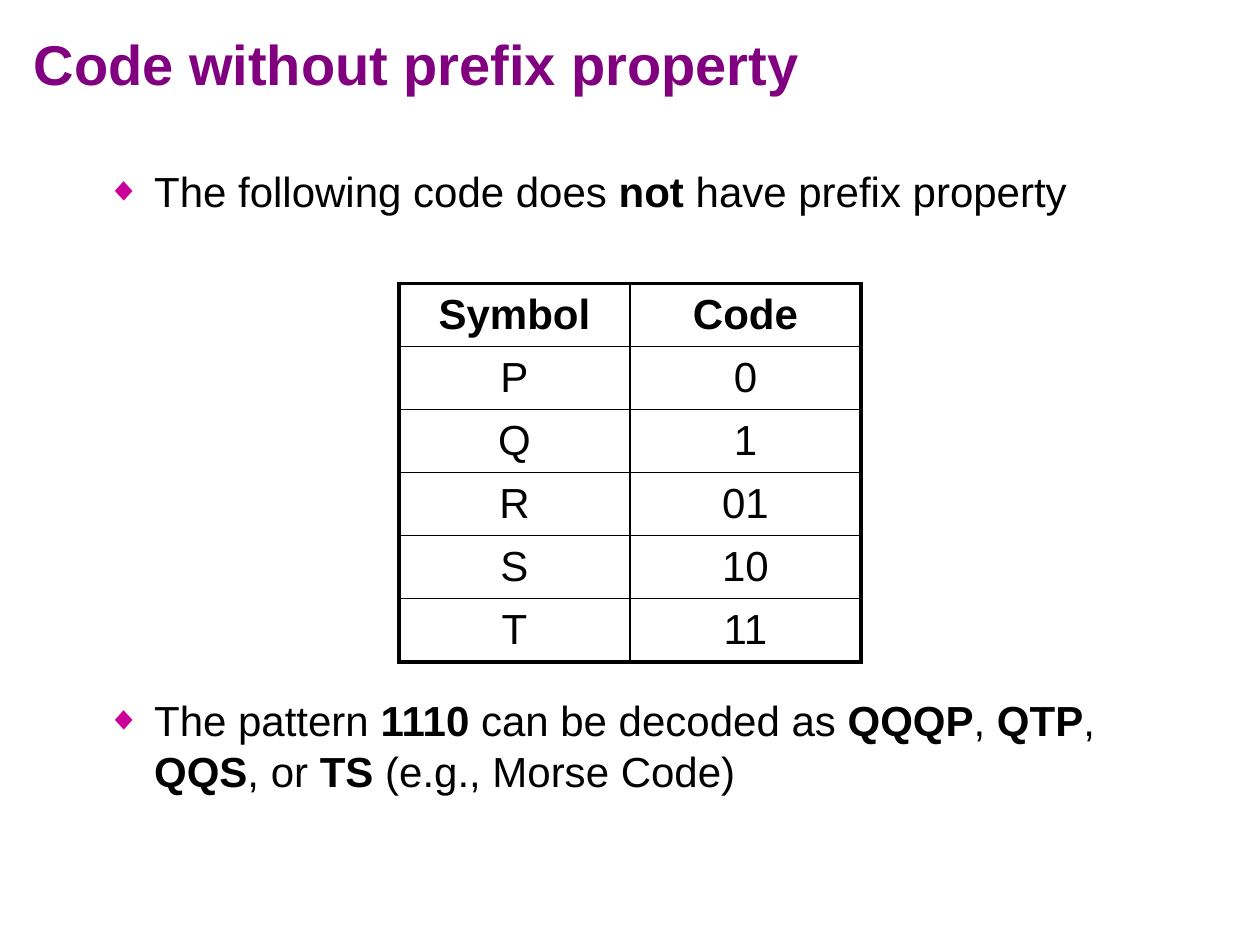
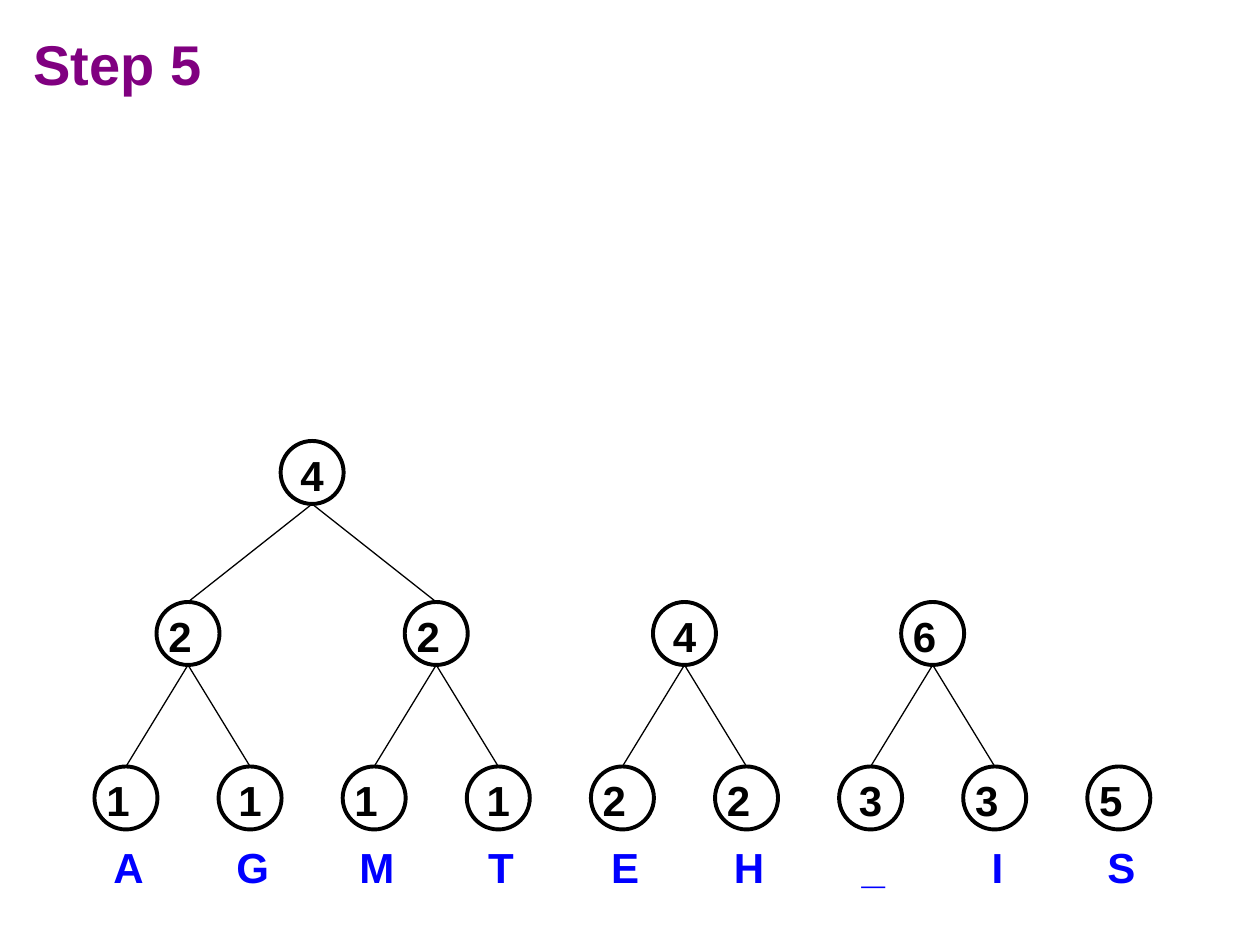
from lxml import etree
from pptx import Presentation
from pptx.dml.color import RGBColor
from pptx.enum.shapes import MSO_CONNECTOR, MSO_SHAPE
from pptx.enum.text import MSO_ANCHOR, PP_ALIGN
from pptx.oxml.ns import qn
from pptx.util import Pt

LEFT, CENTER = PP_ALIGN.LEFT, PP_ALIGN.CENTER
MIDDLE = MSO_ANCHOR.MIDDLE
OVAL = MSO_SHAPE.OVAL
STRAIGHT = MSO_CONNECTOR.STRAIGHT
TITLE_ONLY = 5

FONT = "Arial"
BLACK, PURPLE, MAGENTA, BLUE = "000000", "800080", "CC0099", "0000FF"
THICK, THIN, EDGE = 2.25, 1, 0.75


def color(hex_string):
    return RGBColor.from_string(hex_string)


def write(paragraph, text, size=24, fill=BLACK, bold=False, align=LEFT):
    """Write text; parts between asterisks are bold."""
    paragraph.alignment = align
    for index, part in enumerate(text.split("*")):
        if part:
            run = paragraph.add_run()
            run.text = part
            run.font.name = FONT
            run.font.size = Pt(size)
            run.font.bold = bold or index % 2 == 1
            run.font.color.rgb = color(fill)


def add_bullet(paragraph, indent=27):
    properties = paragraph._p.get_or_add_pPr()
    properties.set("marL", str(Pt(indent)))
    properties.set("indent", str(-Pt(indent)))
    bullet_color = etree.SubElement(properties, qn("a:buClr"))
    etree.SubElement(bullet_color, qn("a:srgbClr"), val=MAGENTA)
    etree.SubElement(properties, qn("a:buSzPct"), val="80000")
    etree.SubElement(properties, qn("a:buFont"), typeface=FONT)
    etree.SubElement(properties, qn("a:buChar"), char="◆")


def set_borders(cell, widths):
    properties = cell._tc.get_or_add_tcPr()
    for side, width in zip("LRTB", widths):
        line = etree.SubElement(properties, qn(f"a:ln{side}"), w=str(Pt(width)))
        fill = etree.SubElement(line, qn("a:solidFill"))
        etree.SubElement(fill, qn("a:srgbClr"), val=BLACK)


class Deck:
    def __init__(self):
        self.presentation = Presentation()
        self.presentation.slide_width = Pt(720)
        self.presentation.slide_height = Pt(540)
        self.slide = None

    def add_slide(self, title_text):
        layout = self.presentation.slide_layouts[TITLE_ONLY]
        self.slide = self.presentation.slides.add_slide(layout)
        title = self.slide.shapes.title
        title.left, title.top = Pt(12), Pt(3)
        title.width, title.height = Pt(696), Pt(66)
        title.text_frame.vertical_anchor = MIDDLE
        write(title.text_frame.paragraphs[0], title_text,
              size=32, fill=PURPLE, bold=True)

    def add_text(self, left, top, width, height, text, **text_format):
        shape = self.slide.shapes.add_textbox(
            Pt(left), Pt(top), Pt(width), Pt(height))
        shape.text_frame.word_wrap = True
        paragraph = shape.text_frame.paragraphs[0]
        write(paragraph, text, **text_format)
        return paragraph

    def add_bullet_text(self, top, height, text):
        paragraph = self.add_text(54, top, 612, height, text)
        paragraph.line_spacing = Pt(29)
        add_bullet(paragraph)

    def add_table(self, left, top, column_width, row_height, rows):
        row_count, column_count = len(rows), len(rows[0])
        table = self.slide.shapes.add_table(
            row_count, column_count, Pt(left), Pt(top),
            Pt(column_width * column_count), Pt(row_height * row_count)).table
        table.first_row = table.horz_banding = False
        for r, row in enumerate(rows):
            for c, text in enumerate(row):
                cell = table.cell(r, c)
                cell.vertical_anchor = MIDDLE
                write(cell.text_frame.paragraphs[0], text,
                      bold=r == 0, align=CENTER)
                on_outside = (c == 0, c == column_count - 1,
                              r == 0, r == row_count - 1)
                set_borders(cell, [THICK if outer else THIN
                                   for outer in on_outside])
                cell.fill.background()

    def add_node(self, center, top, weight, align, diameter=36):
        node = self.slide.shapes.add_shape(
            OVAL, Pt(center - diameter / 2), Pt(top), Pt(diameter), Pt(diameter))
        node.shadow.inherit = False
        node.fill.background()
        node.line.color.rgb = color(BLACK)
        node.line.width = Pt(THICK)
        frame = node.text_frame
        frame.word_wrap = True
        frame.vertical_anchor = MIDDLE
        frame.margin_left = frame.margin_right = Pt(1.5)
        frame.margin_top, frame.margin_bottom = Pt(2.5), 0
        write(frame.paragraphs[0], weight, bold=True, align=align)
        return node

    def add_edge(self, parent, child):
        edge = self.slide.shapes.add_connector(
            STRAIGHT, parent.left + parent.width // 2,
            parent.top + parent.height, child.left, child.top)
        edge.end_connect(child, 0)
        edge.line.color.rgb = color(BLACK)
        edge.line.width = Pt(EDGE)
        etree.SubElement(edge._element.spPr, qn("a:effectLst"))

    def add_parent(self, children, top, weight, align):
        """Add a node midway between its (center, node) children."""
        center = sum(child_center for child_center, _ in children) / len(children)
        parent = self.add_node(center, top, weight, align)
        for _, child in children:
            self.add_edge(parent, child)
        return center, parent


def build_code_slide(deck):
    deck.add_slide("Code without prefix property")
    deck.add_bullet_text(91, 40, "The following code does *not* have prefix property")
    deck.add_table(228, 162, 132, 35, [
        ("Symbol", "Code"), ("P", "0"), ("Q", "1"),
        ("R", "01"), ("S", "10"), ("T", "11")])
    deck.add_bullet_text(
        393.3, 70, "The pattern *1110* can be decoded as *QQQP*, *QTP*, "
        "*QQS*, or *TS* (e.g., Morse Code)")


def build_tree_slide(deck):
    deck.add_slide("Step 5")
    root_top, middle_top, leaf_top, letter_top = 252, 344, 438, 477.4
    first_center, pitch = 72, 70.92

    # Leaves and their letters
    leaf_data = [
        ("A", "1", LEFT), ("G", "1", CENTER), ("M", "1", LEFT),
        ("T", "1", CENTER), ("E", "2", LEFT), ("H", "2", LEFT),
        ("_", "3", CENTER), ("I", "3", LEFT), ("S", "5", LEFT)]
    leaves = []
    for index, (letter, weight, align) in enumerate(leaf_data):
        center = first_center + index * pitch
        leaves.append((center, deck.add_node(center, leaf_top, weight, align)))
        deck.add_text(center - 16.5, letter_top, 36, 36, letter,
                      fill=BLUE, bold=True, align=CENTER)

    # Pairs of leaves, then the first two pairs
    pair_data = [("2", LEFT), ("2", LEFT), ("4", CENTER), ("6", LEFT)]
    pairs = [deck.add_parent(leaves[2 * index:2 * index + 2], middle_top, *data)
             for index, data in enumerate(pair_data)]
    deck.add_parent(pairs[:2], root_top, "4", CENTER)


def main():
    deck = Deck()
    build_code_slide(deck)
    build_tree_slide(deck)
    deck.presentation.save("out.pptx")


if __name__ == "__main__":
    main()
